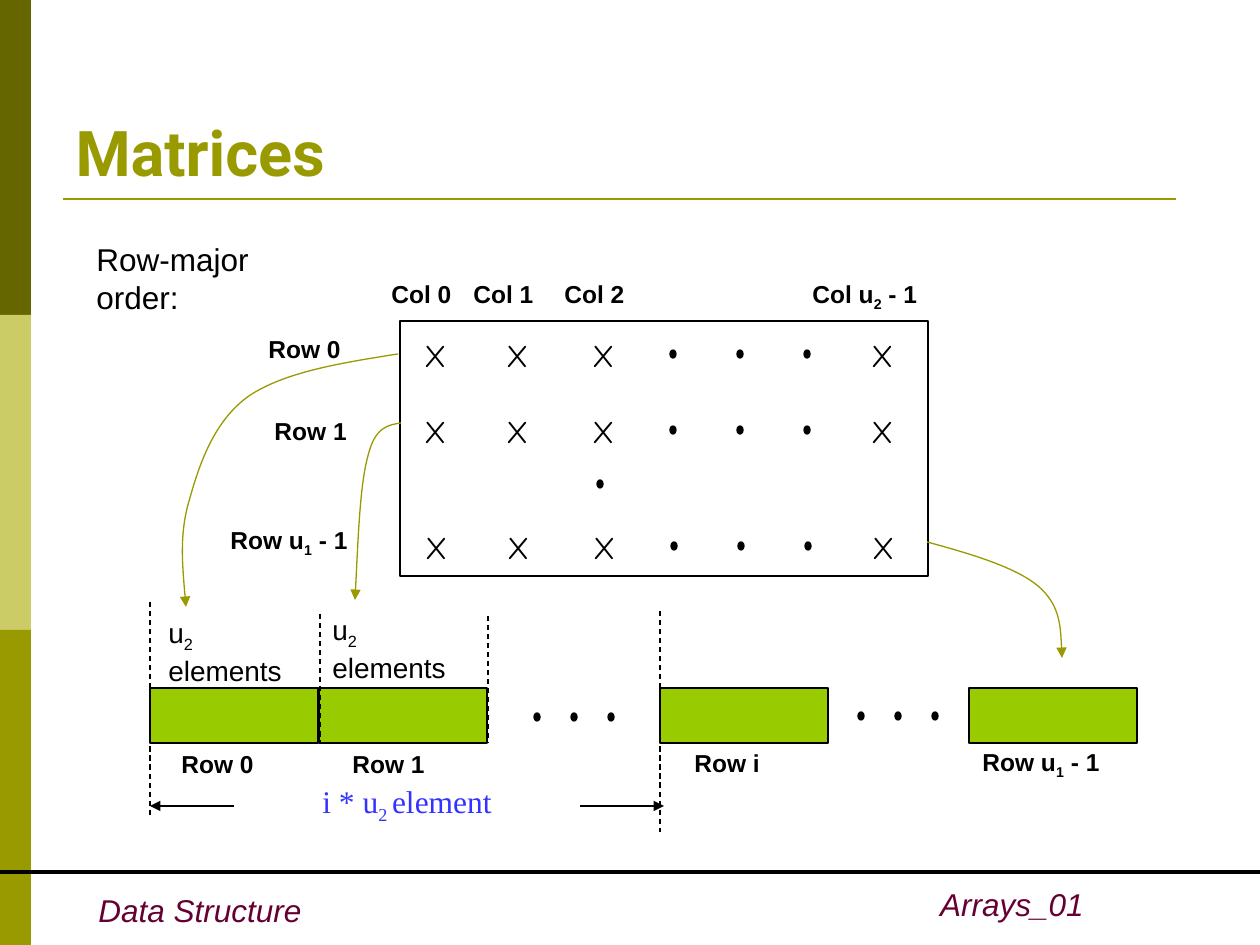
from lxml import etree
from pptx import Presentation
from pptx.dml.color import RGBColor
from pptx.enum.dml import MSO_LINE
from pptx.enum.shapes import MSO_CONNECTOR, MSO_SHAPE
from pptx.enum.text import MSO_ANCHOR, MSO_AUTO_SIZE, PP_ALIGN
from pptx.oxml.ns import qn
from pptx.util import Pt

RECT, OVAL = MSO_SHAPE.RECTANGLE, MSO_SHAPE.OVAL
STRAIGHT, DASH = MSO_CONNECTOR.STRAIGHT, MSO_LINE.DASH
BOTTOM, LEFT, RIGHT = MSO_ANCHOR.BOTTOM, PP_ALIGN.LEFT, PP_ALIGN.RIGHT
FIT = MSO_AUTO_SIZE.SHAPE_TO_FIT_TEXT
PX = 914400 / 126

COLORS = {"olive": "999900", "dark": "666600", "pale": "CCCC66", "black": "000000",
          "plum": "660033", "cell": "99CC00", "blue": "3333FF"}
FORMATS = {
    "title": {"size": Pt(36), "name": "Roboto", "bold": True, "color": "olive"},
    "footer": {"size": Pt(18), "name": "Arial", "italic": True, "color": "plum"},
    "intro": {"size": Pt(18), "name": "Arial", "color": "black"},
    "label": {"size": Pt(14), "name": "Arial", "bold": True, "color": "black"},
    "count": {"size": Pt(16), "name": "Arial", "color": "black"},
    "entry": {"size": Pt(18), "name": "Comic Neue", "color": "black"},
    "formula": {"size": Pt(18), "name": "Times New Roman", "color": "blue"},
}

SIDEBAR = ["dark", "pale", "olive"]
RULES = [(63, 1176, 199, "olive", 1.5), (0, 1260, 872, "black", 2.25)]

# Every second run of a paragraph is a subscript
LAST_COL, LAST_ROW = ("Col u", "2", " - 1"), ("Row u", "1", " - 1")
LABELS = [
    (("Col 0",), 379, 273, 108), (("Col 1",), 461, 273, 108),
    (("Col 2",), 552, 273, 108), (LAST_COL, 800, 273, 154),
    (("Row 0",), 256, 328, 123), (("Row 1",), 262, 410, 118), (LAST_ROW, 218, 519, 163),
    (("Row 0",), 169, 743, 123), (("Row 1",), 340, 743, 118),
    (("Row i",), 682, 742, 118), (LAST_ROW, 970, 741, 161),
]
ELEMENT_COUNT = [("u", "2"), ("elements",)]
COUNT_SPOTS = [(156, 609), (320, 606)]
FORMULA = ("i * u", "2 ", "element")

MATRIX = (400, 321, 528, 255)
MATRIX_ROWS = [(0, 330), (0, 406), (1, 522)]
ENTRY_COLUMNS = [412, 494, 580, 859]
MATRIX_DOTS_LEFT, MATRIX_DOT_GAP, DOT_DROP = 670, 67, 20
COLUMN_DOT = (597, 480)
MEMORY_CELLS = [150, 319, 660, 969]
MEMORY_DOTS, MEMORY_DOT_GAP = [(534, 713), (858, 712)], 37
BOUNDARIES = [(150, 602, 816), (320, 614, 742), (488, 616, 743), (660, 611, 832)]
SPAN_ARROWS, SPAN_Y = [(234, 150), (580, 664)], 806
ROW_CURVES = [
    [(398, 354), (341, 363), (285, 372), (249, 396), (215, 420), (200, 462), (190, 498),
     (179, 533), (183, 571), (186, 607)],
    [(401, 423), (388, 425), (375, 427), (368, 456), (360, 485), (358, 543), (355, 600)],
    [(927, 542), (971, 554), (1015, 567), (1038, 586), (1060, 605), (1061, 631), (1062, 658)],
]


def px(*lengths):
    return [round(length * PX) for length in lengths]


def rgb(color):
    return RGBColor.from_string(COLORS[color])


def write(frame, paragraphs, style, align=LEFT):
    for number, pieces in enumerate(paragraphs):
        paragraph = frame.add_paragraph() if number else frame.paragraphs[0]
        paragraph.alignment = align
        for index, piece in enumerate(pieces):
            run = paragraph.add_run()
            run.text = piece
            for key, value in FORMATS[style].items():
                if key == "color":
                    run.font.color.rgb = rgb(value)
                else:
                    setattr(run.font, key, value)
            if index % 2:
                run._r.get_or_add_rPr().set("baseline", "-25000")


def add_text(slide, paragraphs, box, style, wrap=True, align=LEFT):
    frame = slide.shapes.add_textbox(*px(*box)).text_frame
    frame.word_wrap = wrap
    frame.auto_size = FIT
    write(frame, paragraphs, style, align)


def set_line(line, color, width=0.75, arrow=False):
    line.color.rgb = rgb(color)
    line.width = Pt(width)
    if arrow:
        etree.SubElement(line._get_or_add_ln(), qn("a:tailEnd"), type="triangle")


def add_block(slide, kind, box, fill=None, outline=None):
    block = slide.shapes.add_shape(kind, *px(*box))
    block.shadow.inherit = False
    if fill:
        block.fill.solid()
        block.fill.fore_color.rgb = rgb(fill)
    else:
        block.fill.background()
    if outline:
        set_line(block.line, outline)
    else:
        block.line.fill.background()


def add_dots(slide, left, top, gap, count=3):
    for index in range(count):
        add_block(slide, OVAL, (left + index * gap, top, 6, 8), "black", "black")


def add_rule(slide, ends, color="black", width=0.75, dash=None, arrow=False):
    rule = slide.shapes.add_connector(STRAIGHT, *px(*ends))
    if dash:
        rule.line.dash_style = dash
    set_line(rule.line, color, width, arrow)
    etree.SubElement(rule._element.spPr, qn("a:effectLst"))


def add_curve(slide, points):
    start, *controls = [px(*point) for point in points]
    builder = slide.shapes.build_freeform(*start)
    builder.add_line_segments(controls, close=False)
    curve = builder.convert_to_shape()
    outline = curve._element.spPr.find(".//" + qn("a:path"))
    segments = outline.findall(qn("a:lnTo"))
    for first in range(0, len(segments), 3):
        bezier = etree.SubElement(outline, qn("a:cubicBezTo"))
        for segment in segments[first:first + 3]:
            bezier.append(segment[0])
            outline.remove(segment)
    curve.shadow.inherit = False
    curve.fill.background()
    set_line(curve.line, "olive", arrow=True)


def main():
    deck = Presentation()
    deck.slide_width, deck.slide_height = px(1260, 945)
    slide = deck.slides.add_slide(deck.slide_layouts[5])

    for index, color in enumerate(SIDEBAR):
        add_block(slide, RECT, (0, index * 315, 31, 315), color)
    for left, right, y, color, width in RULES:
        add_rule(slide, (left, y, right, y), color, width)
    add_text(slide, [("Data Structure",)], (86, 885, 228, 50), "footer", wrap=False)
    add_text(slide, [("Arrays_01",)], (878, 879, 218, 50), "footer", align=RIGHT)

    title = slide.shapes.title
    title.left, title.top, title.width, title.height = px(63, 38, 1134, 157)
    title.text_frame.vertical_anchor = BOTTOM
    write(title.text_frame, [("Matrices",)], "title")
    add_text(slide, [("Row-major order:",)], (84, 234, 268, 50), "intro", wrap=False)

    add_block(slide, RECT, MATRIX, outline="black")
    for shift, top in MATRIX_ROWS:
        for left in ENTRY_COLUMNS:
            add_text(slide, [("X",)], (left + shift, top, 47, 50), "entry", wrap=False)
        add_dots(slide, MATRIX_DOTS_LEFT + shift, top + DOT_DROP, MATRIX_DOT_GAP)
    add_dots(slide, *COLUMN_DOT, gap=0, count=1)

    for left in MEMORY_CELLS:
        add_block(slide, RECT, (left, 688, 168, 55), "cell", "black")
    for left, top in MEMORY_DOTS:
        add_dots(slide, left, top, MEMORY_DOT_GAP)
    for x, top, bottom in BOUNDARIES:
        add_rule(slide, (x, top, x, bottom), dash=DASH)
    for left, top in COUNT_SPOTS:
        add_text(slide, ELEMENT_COUNT, (left, top, 139, 84), "count", wrap=False)
    for pieces, left, top, width in LABELS:
        add_text(slide, [pieces], (left, top, width, 47 if len(pieces) > 1 else 43), "label")
    for start, end in SPAN_ARROWS:
        add_rule(slide, (start, SPAN_Y, end, SPAN_Y), arrow=True)
    add_text(slide, [FORMULA], (310, 776, 280, 55), "formula")
    for points in ROW_CURVES:
        add_curve(slide, points)

    deck.save("out.pptx")


if __name__ == "__main__":
    main()
